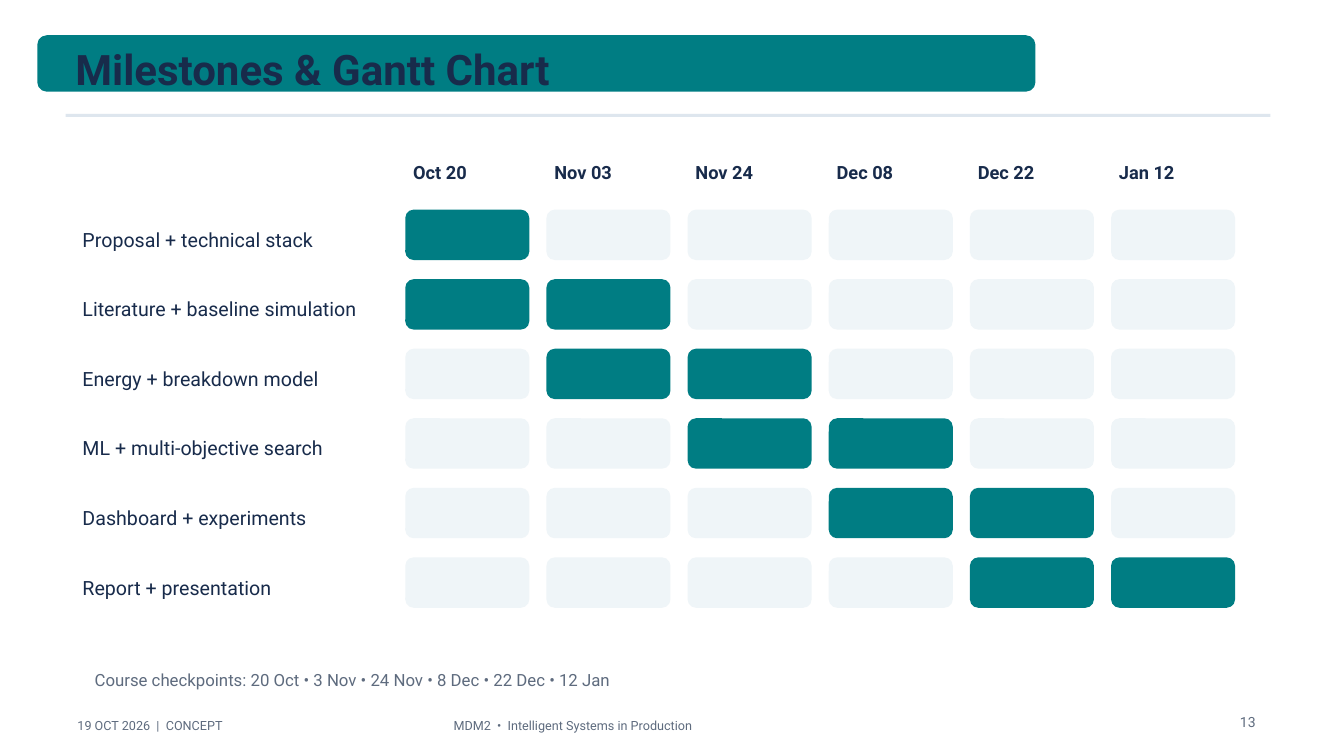
from pptx import Presentation
from pptx.dml.color import RGBColor
from pptx.enum.shapes import MSO_SHAPE as Shape
from pptx.enum.text import MSO_AUTO_SIZE as AutoSize
from pptx.util import Inches, Pt

TITLE = "Milestones & Gantt Chart"
DATES = ["Oct 20", "Nov 03", "Nov 24", "Dec 08", "Dec 22", "Jan 12"]
TASKS = [
    ("Proposal + technical stack", {0}),
    ("Literature + baseline simulation", {0, 1}),
    ("Energy + breakdown model", {1, 2}),
    ("ML + multi-objective search", {2, 3}),
    ("Dashboard + experiments", {3, 4}),
    ("Report + presentation", {4, 5}),
]
CHECKPOINTS = "Course checkpoints: 20 Oct • 3 Nov • 24 Nov • 8 Dec • 22 Dec • 12 Jan"
FOOTER_DATE = "19 OCT 2026  |  CONCEPT"
FOOTER_COURSE = "MDM2  •  Intelligent Systems in Production"
PAGE_NUMBER = "13"

COLORS = {
    "teal": "007D83",
    "navy": "182B4B",
    "gray": "5E6B7E",
    "rule": "DEE6EE",
    "idle": "EFF5F8",
}
FONT = "Roboto"
GRID_LEFT, GRID_TOP = 4.0, 2.08
COLUMN_STEP, ROW_STEP = 1.4, 0.69

deck = Presentation()
deck.slide_width, deck.slide_height = Inches(13.33), Inches(7.5)
slide = deck.slides.add_slide(deck.slide_layouts[6])


def add_text(text, left, top, width, height, size, color="navy", bold=False):
    box = slide.shapes.add_textbox(*map(Inches, (left, top, width, height)))
    frame = box.text_frame
    frame.word_wrap = True
    frame.auto_size = AutoSize.SHAPE_TO_FIT_TEXT
    paragraph = frame.paragraphs[0]
    paragraph.space_after = Pt(7)
    run = paragraph.add_run()
    run.text = text
    run.font.name = FONT
    run.font.size = Pt(size)
    run.font.bold = bold
    run.font.color.rgb = RGBColor.from_string(COLORS[color])


def add_block(left, top, width, height, color, kind=Shape.ROUNDED_RECTANGLE):
    block = slide.shapes.add_shape(kind, *map(Inches, (left, top, width, height)))
    block.shadow.inherit = False
    block.fill.solid()
    block.fill.fore_color.rgb = RGBColor.from_string(COLORS[color])
    block.line.fill.background()


add_block(0.37, 0.35, 9.9, 0.56, "teal")
add_text(TITLE, 0.65, 0.38, 9.9, 0.6, size=30, bold=True)
add_block(0.65, 1.13, 11.95, 0.03, "rule", kind=Shape.RECTANGLE)

add_text(FOOTER_DATE, 0.67, 7.07, 3, 0.25, size=9, color="gray")
add_text(FOOTER_COURSE, 4.4, 7.07, 6, 0.25, size=9, color="gray")
add_text(PAGE_NUMBER, 12.2, 7.03, 0.5, 0.25, size=10, color="gray")

for column, date in enumerate(DATES):
    add_text(date, GRID_LEFT + column * COLUMN_STEP, 1.55, 1.3, 0.35, size=13, bold=True)

for row, (task, active) in enumerate(TASKS):
    top = GRID_TOP + row * ROW_STEP
    add_text(task, 0.72, top + 0.13, 3.2, 0.35, size=14)
    for column in range(len(DATES)):
        left = GRID_LEFT + 0.02 + column * COLUMN_STEP
        add_block(left, top, 1.23, 0.5, "teal" if column in active else "idle")

add_text(CHECKPOINTS, 0.84, 6.6, 11.6, 0.26, size=12, color="gray")

deck.save("out.pptx")
